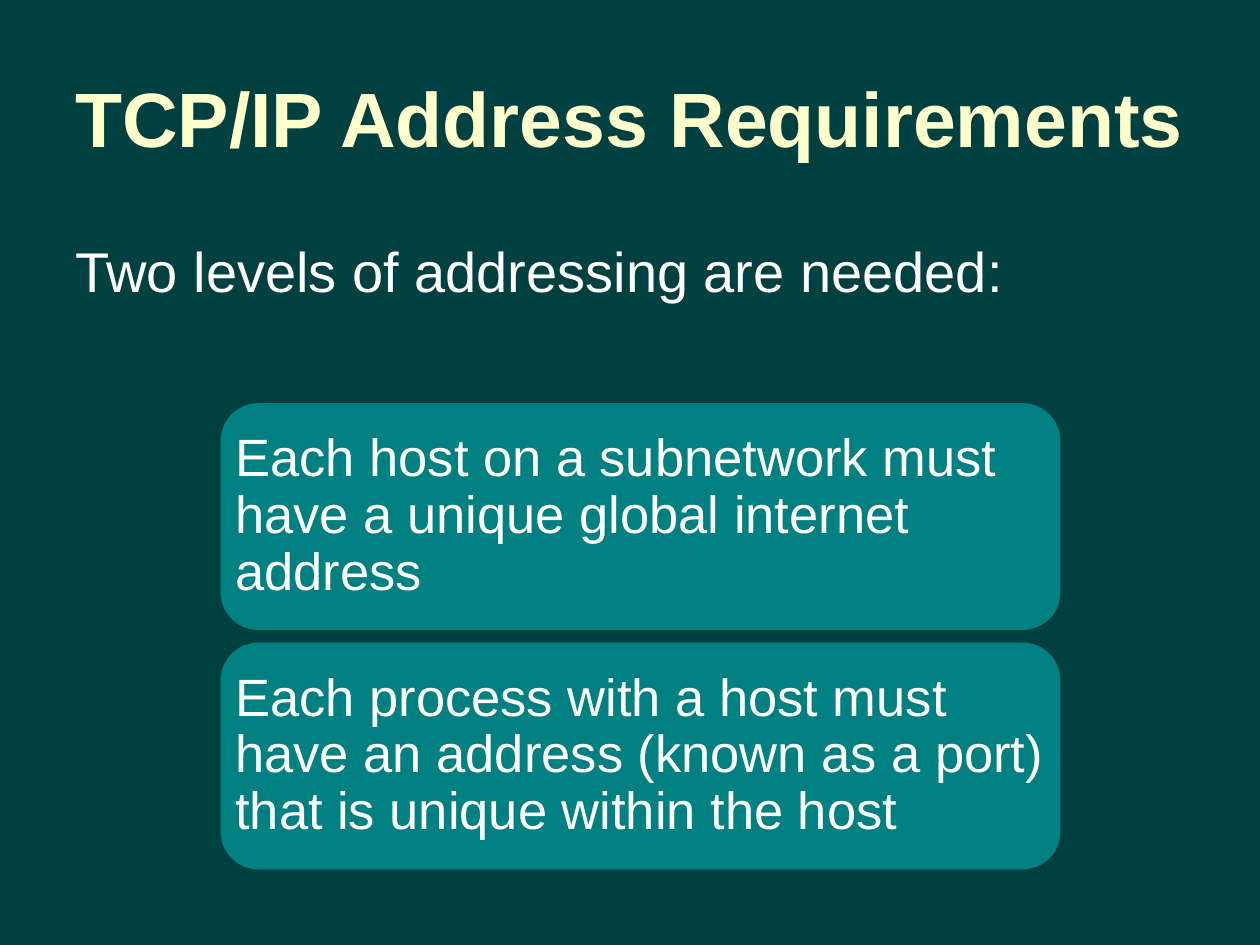
import pptx
import pptx.dml.color
import pptx.enum.shapes
import pptx.enum.text
import pptx.util

ALIGN = pptx.enum.text.PP_ALIGN
ANCHOR = pptx.enum.text.MSO_ANCHOR
WIDTH, HEIGHT = 10, 7.5


def color(hex_string):
    return pptx.dml.color.RGBColor.from_string(hex_string)


def write(frame, text, size, ink="FFFFFF", bold=False, align=ALIGN.LEFT,
          anchor=ANCHOR.TOP, margin=None, line=None, before=0, after=0):
    frame.word_wrap = True
    frame.vertical_anchor = anchor
    if margin is not None:
        frame.margin_left = frame.margin_right = pptx.util.Inches(margin)
        frame.margin_top = frame.margin_bottom = pptx.util.Inches(margin)
    frame.text = text
    paragraph = frame.paragraphs[0]
    paragraph.alignment = align
    paragraph.line_spacing = line
    paragraph.space_before = pptx.util.Pt(before)
    paragraph.space_after = pptx.util.Pt(after)
    font = paragraph.runs[0].font
    font.name, font.size, font.bold = "Arial", pptx.util.Pt(size), bold
    font.color.rgb = color(ink)


class Deck:
    background, card_fill, title_ink = "004040", "008080", "FFFFCC"

    def __init__(self):
        self.show = pptx.Presentation()
        self.show.slide_width = pptx.util.Inches(WIDTH)
        self.show.slide_height = pptx.util.Inches(HEIGHT)
        self.slide = self.show.slides.add_slide(self.show.slide_layouts[5])
        fill = self.slide.background.fill
        fill.solid()
        fill.fore_color.rgb = color(self.background)

    def area(self, left, top, width, height):
        return (pptx.util.Inches(left * WIDTH), pptx.util.Inches(top * HEIGHT),
                pptx.util.Inches(width * WIDTH), pptx.util.Inches(height * HEIGHT))

    def title(self, text, *shares):
        heading = self.slide.shapes.title
        heading.left, heading.top, heading.width, heading.height = self.area(*shares)
        write(heading.text_frame, text, 44, ink=self.title_ink, bold=True,
              align=ALIGN.CENTER, anchor=ANCHOR.MIDDLE)

    def lead(self, text, *shares):
        intro = self.slide.shapes.add_textbox(*self.area(*shares))
        write(intro.text_frame, text, 32, before=6.4)

    def card(self, text, *shares):
        rounded = pptx.enum.shapes.MSO_SHAPE.ROUNDED_RECTANGLE
        requirement = self.slide.shapes.add_shape(rounded, *self.area(*shares))
        requirement.shadow.inherit = False
        requirement.fill.solid()
        requirement.fill.fore_color.rgb = color(self.card_fill)
        requirement.line.fill.background()
        write(requirement.text_frame, text, 30, anchor=ANCHOR.MIDDLE,
              margin=0.03, line=0.9, after=10.5)


REQUIREMENTS = (
    "Each host on a subnetwork must have a unique global internet address",
    "Each process with a host must have an address (known as a port) "
    "that is unique within the host",
)


def main():
    deck = Deck()
    deck.title("TCP/IP Address Requirements", 1 / 30, 0.04, 14 / 15, 1 / 6)
    deck.lead("Two levels of addressing are needed:", 0.05, 1.83 / HEIGHT, 0.9, 0.1)
    first_top, card_height, pitch = 3.2 / HEIGHT, 0.24, 1.9 / HEIGHT
    for row, requirement in enumerate(REQUIREMENTS):
        deck.card(requirement, 0.175, first_top + row * pitch, 2 / 3, card_height)
    deck.show.save("out.pptx")


if __name__ == "__main__":
    main()
